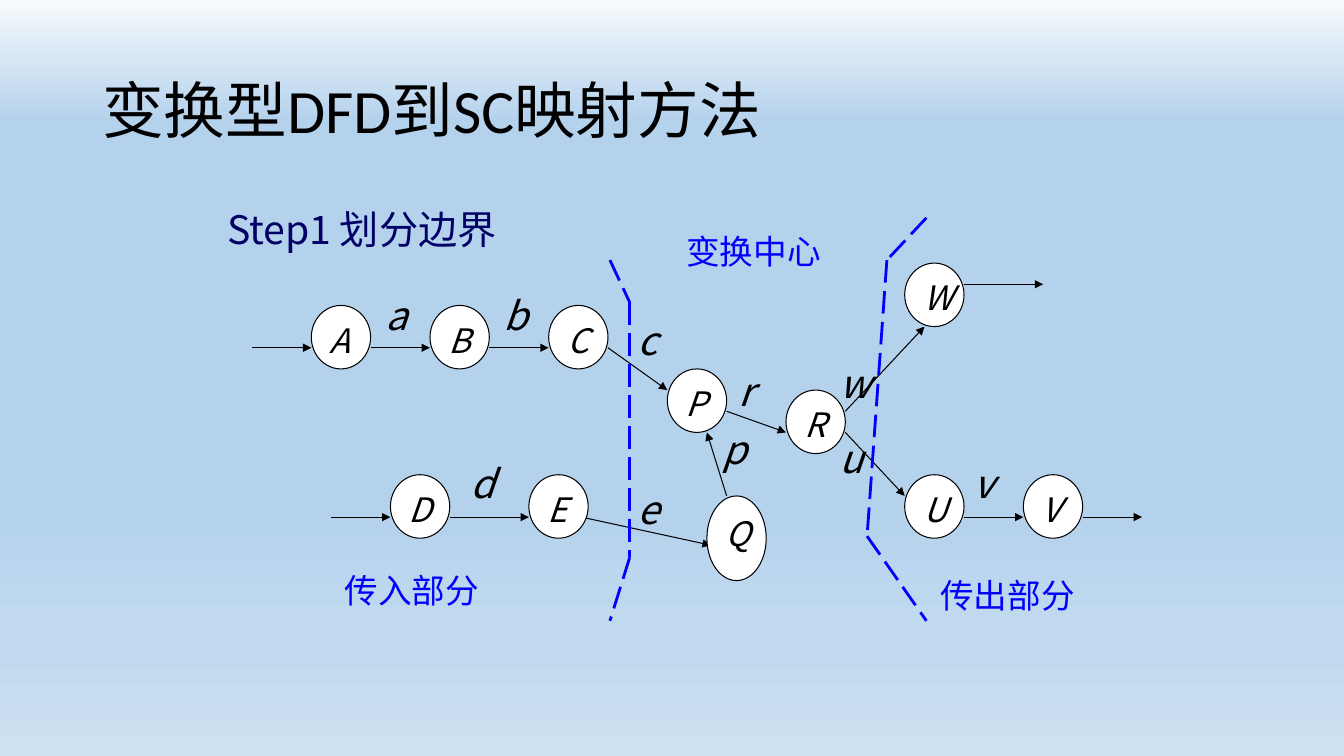
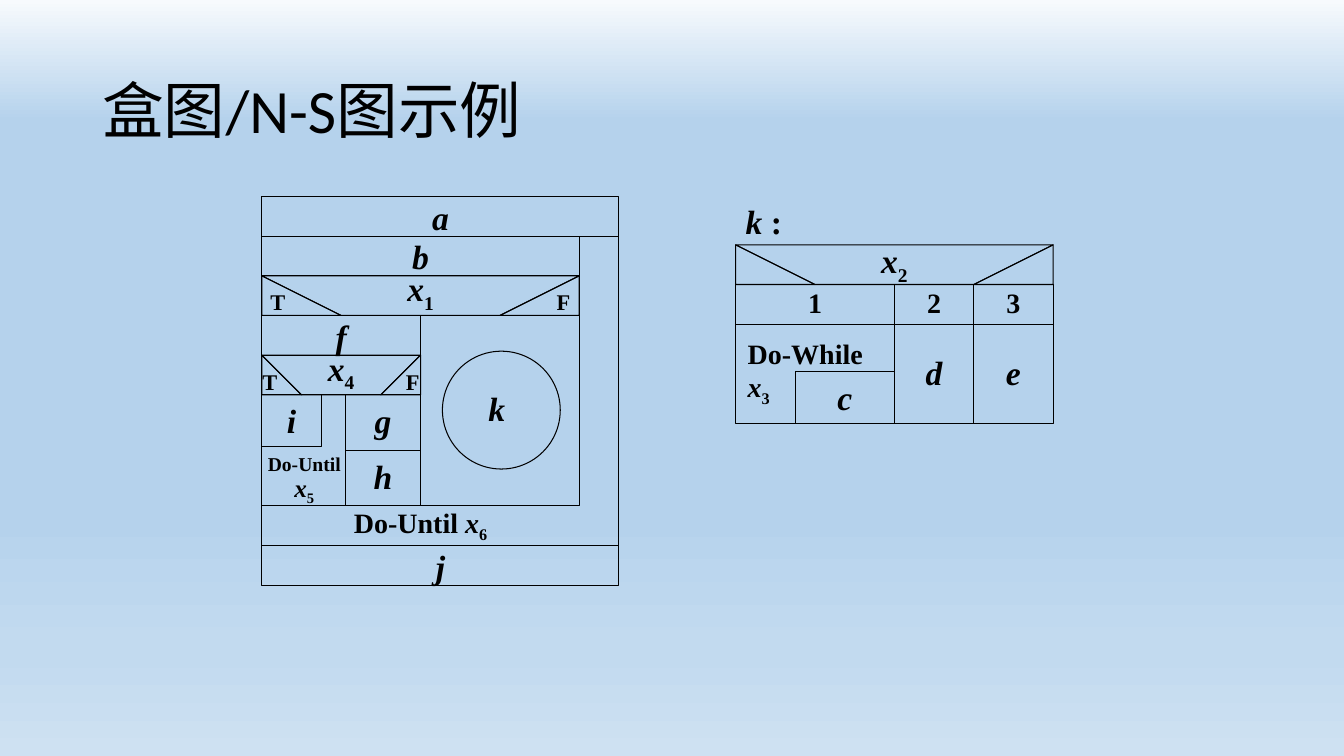
from itertools import pairwise

from lxml import etree
from pptx import Presentation
from pptx.dml.color import RGBColor
from pptx.enum.dml import MSO_LINE
from pptx.enum.shapes import MSO_CONNECTOR, MSO_SHAPE
from pptx.enum.text import MSO_ANCHOR, MSO_AUTO_SIZE, PP_ALIGN
from pptx.oxml import parse_xml
from pptx.oxml.ns import nsdecls, qn
from pptx.util import Cm, Pt

BLACK = RGBColor(0x00, 0x00, 0x00)
WHITE = RGBColor(0xFF, 0xFF, 0xFF)
BLUE = RGBColor(0x00, 0x00, 0xFF)
NAVY = RGBColor(0x00, 0x00, 0x66)
SKY = [(0, "F7FAFD"), (16, "B5D2EC"), (71, "B8D4ED"), (86, "C2DAEF"), (100, "CEE1F2")]

SANS = "Noto Sans CJK SC"
TITLE = dict(name="Calibri", size=Pt(44))
NODE = dict(name=SANS, size=Pt(24), italic=True)
FLOW = dict(NODE, size=Pt(28))
CAPTION = dict(name=SANS, size=Pt(24))
STEP = dict(name=SANS, size=Pt(28))
BOLD = dict(name="Times New Roman", size=Pt(20), bold=True)
TAG = dict(BOLD, size=Pt(16))
SMALL = dict(BOLD, size=Pt(14))
VAR = dict(BOLD, size=Pt(24), italic=True)
VAR_20 = dict(VAR, size=Pt(20))
VAR_18 = dict(VAR, size=Pt(18))
GROW = dict(auto_size=MSO_AUTO_SIZE.SHAPE_TO_FIT_TEXT)
CENTER = dict(alignment=PP_ALIGN.CENTER)


def apply(target, values):
    for key, value in values.items():
        setattr(target, key, value)


def write(sp, runs, frame=None, para=None, color=BLACK):
    tf = sp.text_frame
    apply(tf, dict(word_wrap=True, vertical_anchor=MSO_ANCHOR.TOP) | (frame or {}))
    p = tf.paragraphs[0]
    apply(p, para or dict(alignment=PP_ALIGN.LEFT))
    for text, style, *baseline in runs:
        r = p.add_run()
        r.text = text
        apply(r.font, style)
        r.font.color.rgb = color
        rPr = r._r.get_or_add_rPr()
        etree.SubElement(rPr, qn("a:ea")).set("typeface", SANS)
        if baseline:
            rPr.set("baseline", str(baseline[0]))


def indexed(digit, style=VAR):
    return [("x", style), (digit, dict(style, italic=False), -25000)]


def add_text(shapes, box, runs, frame=GROW, para=None, color=BLACK):
    write(shapes.add_textbox(*map(Cm, box)), runs, frame, para, color)


def outline(sp, fill=None):
    sp.shadow.inherit = False
    sp.line.color.rgb = BLACK
    sp.line.width = Pt(0.75)
    if fill is None:
        sp.fill.background()
    else:
        sp.fill.solid()
        sp.fill.fore_color.rgb = fill
    return sp


def add_outline(shapes, kind, box, fill=None):
    return outline(shapes.add_shape(kind, *map(Cm, box)), fill)


def add_line(shapes, start, end, color=BLACK, width=0.75, dash=None, arrow=False):
    line = shapes.add_connector(MSO_CONNECTOR.STRAIGHT, *map(Cm, (*start, *end)))
    apply(line.line, dict(width=Pt(width), dash_style=dash))
    line.line.color.rgb = color
    if arrow:
        etree.SubElement(line.line._get_or_add_ln(), qn("a:tailEnd")).set("type", "triangle")
    etree.SubElement(line._element.spPr, qn("a:effectLst"))


def add_slide(prs, title):
    s = prs.slides.add_slide(prs.slide_layouts[6])
    fill = s.background.fill
    fill.gradient()
    fill.gradient_angle = 270
    stops = "".join(
        f'<a:gs pos="{pos * 1000}"><a:srgbClr val="{rgb}"/></a:gs>' for pos, rgb in SKY
    )
    old = next(s._element.iter(qn("a:gsLst")))
    old.getparent().replace(old, parse_xml(f'<a:gsLst {nsdecls("a")}>{stops}</a:gsLst>'))
    add_text(s.shapes, (2.33, 1.02, 29.21, 3.68), [(title, TITLE)],
             dict(vertical_anchor=MSO_ANCHOR.MIDDLE), dict(line_spacing=0.9))
    return s


def flow_diagram(shapes, left, top, width, height):
    ux, uy = width / 45, height / 15

    def at(x, y):
        return left + x * ux, top + y * uy

    def box(x, y, w, h):
        return (*at(x, y), w * ux, h * uy)

    arrows = [
        (0, 4, 3, 4), (6, 4, 9, 4), (12, 4, 15, 4), (18, 4, 21, 6),
        (4, 12, 7, 12), (10, 12, 14, 12), (16.66, 12, 23.2, 13.33), (24, 11, 23, 8),
        (24, 7, 27, 8), (30, 7, 34, 3), (30, 8, 33, 11),
        (36, 1, 40, 1), (36, 12, 39, 12), (42, 12, 45, 12),
    ]
    for x1, y1, x2, y2 in arrows:
        add_line(shapes, at(x1, y1), at(x2, y2), arrow=True)

    nodes = dict(A=(3, 2), B=(9, 2), C=(15, 2), D=(7, 10), E=(14, 10), P=(21, 5),
                 Q=(23, 11), R=(27, 6), W=(33, 0), U=(33, 10), V=(39, 10))
    for name, (x, y) in nodes.items():
        sp = add_outline(shapes, MSO_SHAPE.OVAL, box(x, y, 3, 4 if name == "Q" else 3), WHITE)
        write(sp, [(name, NODE)])

    flows = dict(a=(6.27, 1.1), b=(12.23, 1.1), c=(19, 2.29), d=(10.55, 9.05),
                 e=(19, 10.24), p=(23.3, 7.43), r=(24.1, 4.67), w=(29.2, 4.29),
                 u=(29.2, 7.86), v=(36, 9.05))
    for name, (x, y) in flows.items():
        add_text(shapes, box(x, y, 2.4, 2.71), [(name, FLOW)])

    borders = [
        [(18.1, -0.14), (19.1, 1.86), (19.1, 13.9), (18.1, 16.9)],
        [(34.1, -2.14), (32.1, -0.14), (31.1, 12.9), (34.1, 16.9)],
    ]
    for points in borders:
        group = shapes.add_group_shape().shapes
        for start, end in pairwise(points):
            add_line(group, at(*start), at(*end), BLUE, 2, MSO_LINE.LONG_DASH)

    captions = [("传入部分", 4.18, 14.24), ("变换中心", 21.46, -1.76), ("传出部分", 34.3, 14.48)]
    for text, x, y in captions:
        add_text(shapes, box(x, y, 10.6, 2.38), [(text, CAPTION)], color=BLUE)
    add_text(shapes, box(-2.55, -2.95, 16.2, 2.71), [("Step1 划分边界", STEP)],
             para=CENTER, color=NAVY)


def decision(shapes, left, top, width, slope, digit, rise, tags=()):
    right, bottom = left + width, top + 1
    points = [(left, top), (left + slope, bottom), (right - slope, bottom), (right, top)]
    corners = [(Cm(x), Cm(y)) for x, y in points]
    builder = shapes.build_freeform(*corners[0])
    builder.add_line_segments(corners[1:], close=True)
    outline(builder.convert_to_shape())
    for x, flip in ((left, "0"), (right - slope, "1")):
        sp = add_outline(shapes, MSO_SHAPE.RIGHT_TRIANGLE, (x, top, slope, 1))
        sp._element.spPr.xfrm.set("flipH", flip)
    add_text(shapes, (left, top - rise, width, 1.1), indexed(digit),
             GROW | dict(margin_top=Cm(0.03), margin_bottom=Cm(0.03)), CENTER)
    for tag, x in zip(tags, (left + slope * 0.2, right - slope * 0.2)):
        add_text(shapes, (x - 0.6, top + 0.19, 1.2, 0.94), [(tag, TAG)], para=CENTER)


def cells(shapes, left, top, rows):
    for x, y, w, h, text, style, pad in rows:
        sp = add_outline(shapes, MSO_SHAPE.RECTANGLE, (left + x, top + y, w, h))
        if text:
            frame = dict(margin_top=Cm(pad), margin_bottom=Cm(min(pad, 0.13)))
            write(sp, [(text, style)], frame, CENTER)


def main_box(shapes, left, top):
    cells(shapes, left, top, [
        (0, 0, 9, 1, "a", VAR, 0),
        (0, 1, 9, 7.8, "", VAR, 0),
        (0, 8.8, 9, 1, "j", VAR, 0),
        (0, 1, 8, 1, "b", VAR, 0),
        (0, 3, 4, 1, "f", VAR, 0),
        (4, 3, 4, 4.8, "", VAR, 0),
        (0, 5, 2.1, 2.8, "", VAR, 0),
        (0, 5, 1.5, 1.3, "i", VAR, 0.13),
        (2.1, 5, 1.9, 1.4, "g", VAR, 0.13),
        (2.1, 6.4, 1.9, 1.4, "h", VAR, 0.13),
    ])
    decision(shapes, left, top + 2, 8, 2, "1", 0.22, "TF")
    decision(shapes, left, top + 4, 4, 1, "4", 0.22, "TF")
    add_outline(shapes, MSO_SHAPE.OVAL, (left + 4.55, top + 3.9, 2.97, 2.97))
    add_text(shapes, (left + 4.75, top + 4.7, 2.34, 1.27), [("k", VAR)], para=CENTER)
    add_text(shapes, (left - 0.2, top + 6.43, 2.54, 1.35),
             [("Do-Until ", SMALL)] + indexed("5", VAR_18), para=CENTER | dict(line_spacing=0.8))
    add_text(shapes, (left, top + 7.8, 8, 1), [("Do-Until ", BOLD)] + indexed("6", VAR_20),
             dict(margin_top=0), CENTER)


def case_box(shapes, left, top):
    decision(shapes, left, top, 8, 2, "2", 0.15)
    cells(shapes, left, top, [
        (0, 1, 4, 1, "1", BOLD, 0.03),
        (4, 1, 2, 1, "2", BOLD, 0.03),
        (6, 1, 2, 1, "3", BOLD, 0.03),
        (0, 2, 4, 2.5, "", VAR, 0),
        (1.5, 3.2, 2.5, 1.3, "c", VAR, 0.13),
        (4, 2, 2, 2.5, "d", VAR, 0.71),
        (6, 2, 2, 2.5, "e", VAR, 0.71),
    ])
    add_text(shapes, (left + 0.05, top + 2.18, 3.5, 1.96),
             [("Do-While ", BOLD)] + indexed("3", VAR_20))
    add_text(shapes, (left, top - 1.22, 1.7, 1.27),
             [("k ", VAR), (":", dict(VAR, italic=False))])


def main():
    prs = Presentation()
    prs.slide_width, prs.slide_height = Cm(33.87), Cm(19.05)
    s = add_slide(prs, "变换型DFD到SC映射方法")
    flow_diagram(s.shapes, 6.35, 6.63, 22.43, 8)
    s = add_slide(prs, "盒图/N-S图示例")
    main_box(s.shapes.add_group_shape().shapes, 6.6, 4.95)
    case_box(s.shapes.add_group_shape().shapes, 18.54, 6.17)
    prs.save("out.pptx")


if __name__ == "__main__":
    main()
